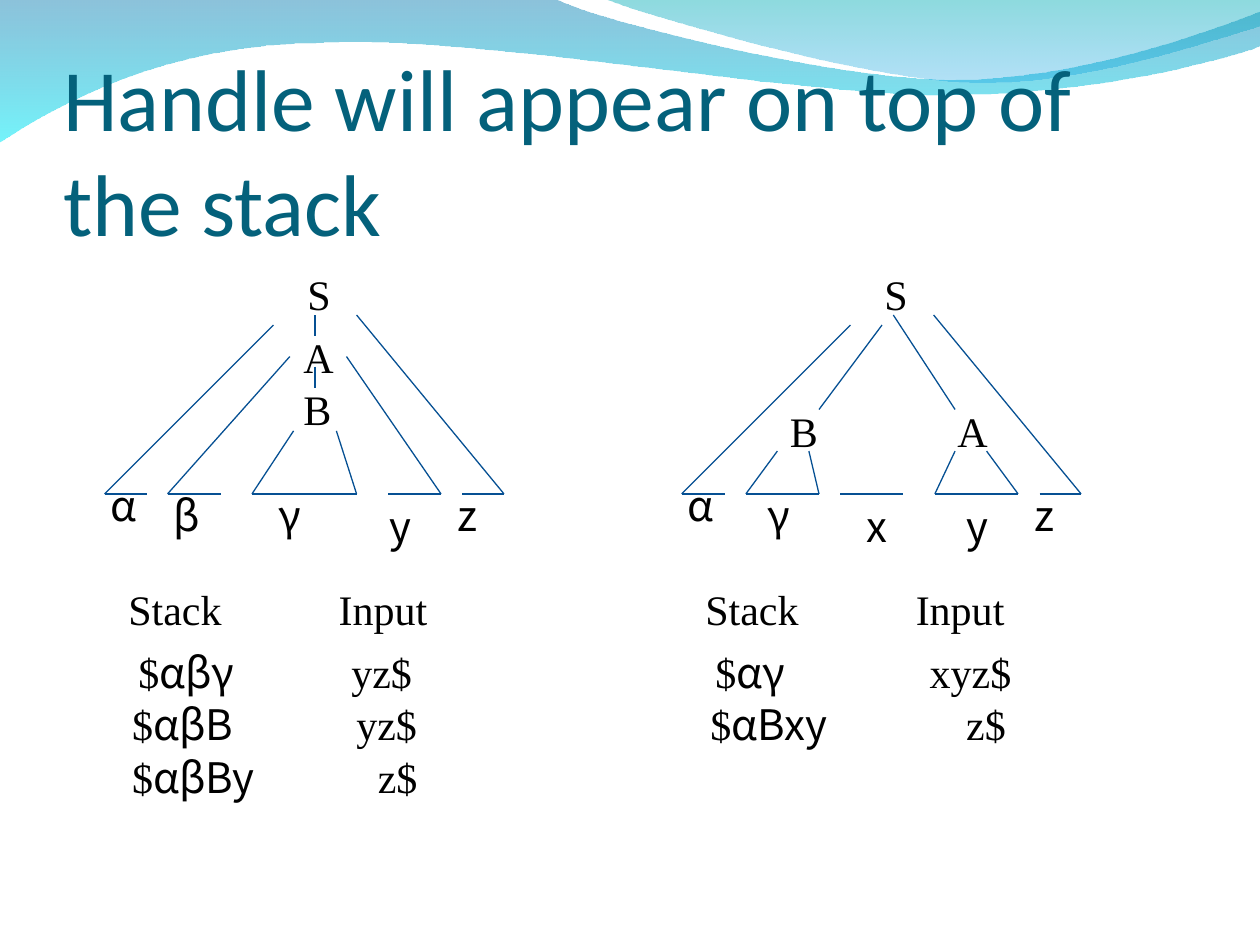
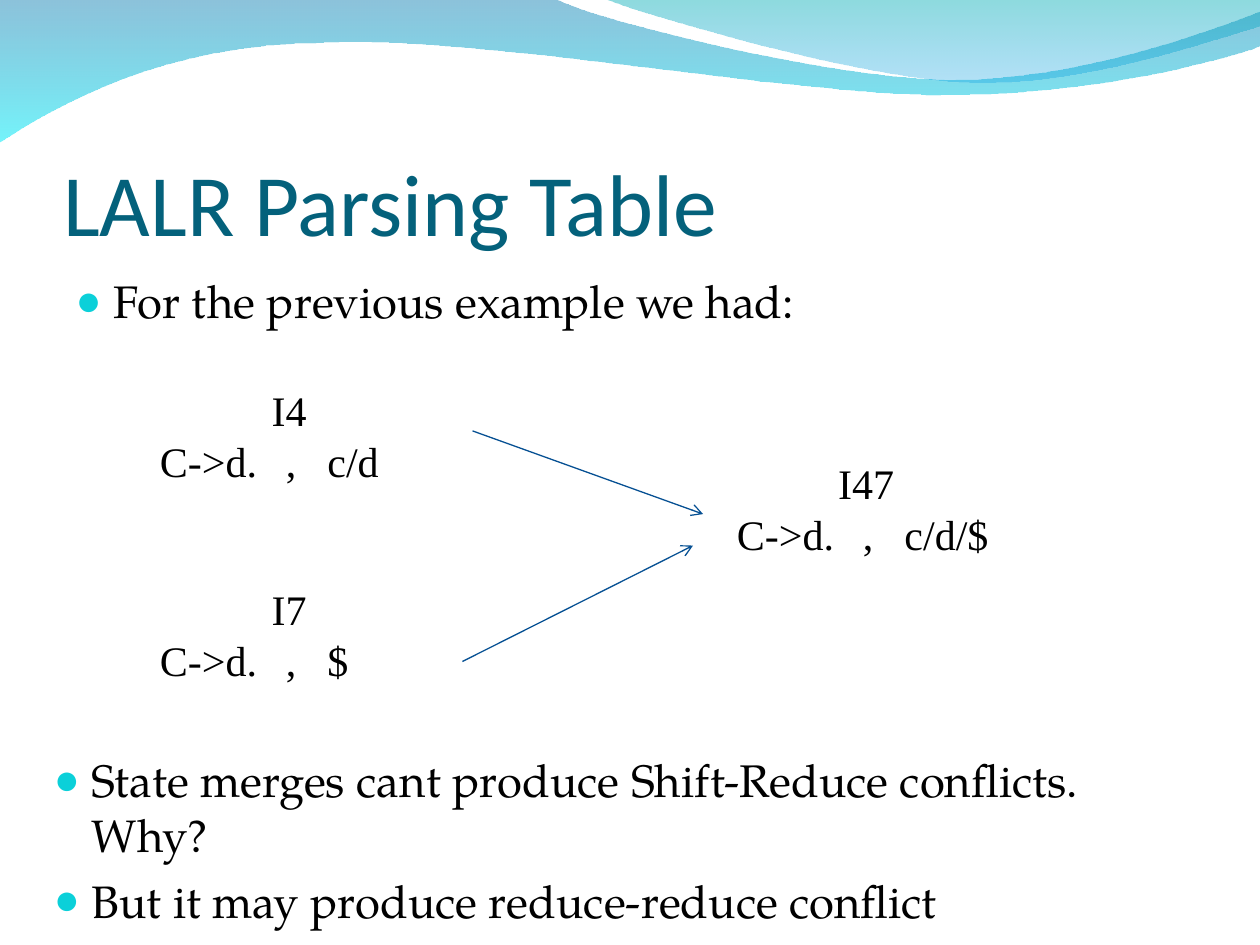
from dataclasses import dataclass

from lxml import etree
from pptx import Presentation
from pptx import util as u
from pptx.dml.color import RGBColor
from pptx.enum import shapes, text
from pptx.oxml.ns import qn


@dataclass(frozen=True)
class Theme:
    title_color: str = "04617B"
    ink: str = "000000"
    line: str = "065093"
    bullet: str = "0BD0D9"
    title_font: str = "Calibri"
    list_font: str = "TeX Gyre Pagella"
    bullet_font: str = "Arial"
    serif: str = "Times New Roman"
    sans: str = "Noto Sans CJK JP"
    title_size: float = 50
    list_size: float = 26
    label_size: float = 24
    label_spacing: float = 29
    list_gap: float = 6.5
    line_width: float = 0.75


THEME = Theme()

# Wave outlines: a start point, then lines (2 numbers) and curves (6 numbers)
BACK_WAVE = [
    (0, -0.01), (4.4, -0.01),
    (4.76, 0.17, 6.64, 0.63, 7.58, 0.63), (8.53, 0.63, 9.58, 0.26, 10, 0.09),
    (10.01, 0.36),
    (9.83, 0.44, 8.7, 0.76, 7.46, 0.75), (6.22, 0.75, 3.82, 0.28, 2.57, 0.34),
    (1.29, 0.35, 0.46, 0.83, -0.01, 1.13),
]
FRONT_WAVE = [
    (4.79, -0.01),
    (5.09, 0.11, 6.82, 0.62, 7.69, 0.65), (8.56, 0.69, 9.61, 0.32, 10, 0.21),
    (10, 0),
]

# Parse trees, in inches from the left edge of each tree
TREE_STEP = 4.58
LEAF_Y = 3.92
ROW_TOP, ROW_STEP = 5.08, 0.415
LETTER_WIDTHS = {"S": 0.38, "A": 0.44, "B": 0.42}
LEAF_WIDTH = 0.4


@dataclass
class ParseTree:
    branches: list
    leaf_bases: list
    nodes: list
    leaves: list
    rows: list  # stack symbols, stack x, input, input x, input width


COMMON = ParseTree(
    branches=[(2.17, 2.58, 0.83, LEAF_Y), (2.83, 2.5, 4, LEAF_Y)],
    leaf_bases=[(0.83, 1.17), (3.67, 4)],
    nodes=[("S", 2.34, 2.08)],
    leaves=[("α", 0.78, 3.75), ("y", 2.99, 3.92), ("z", 3.53, 3.83)],
    rows=[],
)
TREES = [
    ParseTree(
        branches=[
            (2.3, 2.83, 1.33, LEAF_Y), (2.75, 2.83, 3.5, LEAF_Y),
            (2.33, 3.42, 2, LEAF_Y), (2.67, 3.42, 2.83, LEAF_Y),
            (2.5, 2.5, 2.5, 2.67), (2.5, 2.91, 2.5, 3.08),
        ],
        leaf_bases=[(1.33, 1.75), (2, 2.83), (3.08, 3.5)],
        nodes=[("A", 2.31, 2.58), ("B", 2.31, 2.99)],
        leaves=[("β", 1.28, 3.83), ("γ", 2.11, 3.83)],
        rows=[
            ("αβγ", 1, "yz$", 2.69, 0.7),
            ("αβB", 0.95, "yz$", 2.73, 0.7),
            ("αβBy", 0.95, "z$", 2.9, 0.54),
        ],
    ),
    ParseTree(
        branches=[
            (2.51, 2.5, 3, 3.25), (2.42, 2.58, 1.92, 3.25),
            (1.59, 3.58, 1.34, LEAF_Y), (1.84, 3.58, 1.92, LEAF_Y),
            (3, 3.58, 2.84, LEAF_Y), (3.25, 3.58, 3.5, LEAF_Y),
        ],
        leaf_bases=[(1.34, 1.92), (2.09, 2.59), (2.84, 3.5)],
        nodes=[("A", 2.92, 3.17), ("B", 1.59, 3.17)],
        leaves=[("γ", 1.41, 3.83), ("x", 2.2, 3.92)],
        rows=[
            ("αγ", 1, "xyz$", 2.7, 0.87),
            ("αBxy", 0.96, "z$", 2.99, 0.54),
        ],
    ),
]


def add_xml(parent, tag, **attributes):
    return etree.SubElement(parent, qn(tag), attributes)


def add_run(paragraph, words, font, size, color=THEME.ink):
    run = paragraph.add_run()
    run.text = words
    run.font.name = font
    run.font.size = u.Pt(size)
    run.font.color.rgb = RGBColor.from_string(color)


def place(shape, left, top, width, height):
    shape.left, shape.top = u.Inches(left), u.Inches(top)
    shape.width, shape.height = u.Inches(width), u.Inches(height)


def add_box(slide, left, top, width, height=0.5, wrap=False):
    box = slide.shapes.add_textbox(*map(u.Inches, (left, top, width, height)))
    frame = box.text_frame
    frame.word_wrap = wrap
    frame.auto_size = text.MSO_AUTO_SIZE.SHAPE_TO_FIT_TEXT
    return frame


def add_label(slide, left, top, width, *runs, wrap=False):
    """One line of text; each run is a pair of words and font."""
    line = add_box(slide, left, top, width, wrap=wrap).paragraphs[0]
    line.line_spacing = u.Pt(THEME.label_spacing)
    for words, font in runs:
        add_run(line, words, font, THEME.label_size)


def add_line(slide, x1, y1, x2, y2, arrow=False):
    line = slide.shapes.add_connector(
        shapes.MSO_CONNECTOR.STRAIGHT, *map(u.Inches, (x1, y1, x2, y2)))
    line.line.color.rgb = RGBColor.from_string(THEME.line)
    line.line.width = u.Pt(THEME.line_width)
    properties = line.element.spPr
    if arrow:
        add_xml(properties.find(qn("a:ln")), "a:tailEnd", type="arrow")
    add_xml(properties, "a:effectLst")


def set_title(slide, words):
    title = slide.shapes.title
    place(title, 0.5, 0.77, 9, 1.25)
    frame = title.text_frame
    frame.auto_size = text.MSO_AUTO_SIZE.NONE
    frame.vertical_anchor = text.MSO_ANCHOR.BOTTOM
    frame.margin_left = frame.margin_right = frame.margin_bottom = 0
    frame.margin_top = u.Inches(0.05)
    paragraph = frame.paragraphs[0]
    paragraph.alignment = text.PP_ALIGN.LEFT
    add_run(paragraph, words, THEME.title_font, THEME.title_size, THEME.title_color)


def fill_list(frame, items):
    frame.auto_size = text.MSO_AUTO_SIZE.NONE
    for index, item in enumerate(items):
        paragraph = frame.add_paragraph() if index else frame.paragraphs[0]
        paragraph.space_before = u.Pt(THEME.list_gap)
        layout = paragraph._p.get_or_add_pPr()
        layout.set("marL", str(u.Inches(0.3)))
        layout.set("indent", str(-u.Inches(0.3)))
        add_xml(add_xml(layout, "a:buClr"), "a:srgbClr", val=THEME.bullet)
        add_xml(layout, "a:buSzPct", val="95000")
        add_xml(layout, "a:buFont", typeface=THEME.bullet_font)
        add_xml(layout, "a:buChar", char="●")
        add_run(paragraph, item, THEME.list_font, THEME.list_size)


def bend(wave, outline):
    """Turn each three lines that stand for a curve into one Bézier curve."""
    lines = iter(list(wave.element.iter(qn("a:lnTo"))))
    for segment in outline[1:]:
        first = next(lines)
        if len(segment) == 6:
            first.tag_points = None
            curve = etree.Element(qn("a:cubicBezTo"))
            first.addprevious(curve)
            for line in (first, next(lines), next(lines)):
                curve.append(line[0])
                line.getparent().remove(line)


def add_wave(master, slide, outline, stops, depth):
    """Draw a wave and move it to the master, behind everything else."""
    points = [segment[i:i + 2] for segment in outline
              for i in range(0, len(segment), 2)]
    start, *others = [tuple(map(u.Inches, point)) for point in points]
    builder = slide.shapes.build_freeform(*start)
    builder.add_line_segments(others)
    wave = builder.convert_to_shape()
    bend(wave, outline)
    wave.shadow.inherit = False
    wave.line.fill.background()
    wave.fill.gradient()
    wave.fill.gradient_angle = 270
    for stop, (color, opacity) in zip(wave.fill.gradient_stops, stops):
        stop.color.rgb = RGBColor.from_string(color)
        tint = stop._gs.find(qn("a:srgbClr"))
        add_xml(tint, "a:alpha", val=str(opacity * 1000))
    master.shapes.element.insert(2 + depth, wave.element)


def draw_tree(slide, tree, left):
    for x1, y1, x2, y2 in COMMON.branches + tree.branches:
        add_line(slide, left + x1, y1, left + x2, y2)
    for start, end in COMMON.leaf_bases + tree.leaf_bases:
        add_line(slide, left + start, LEAF_Y, left + end, LEAF_Y)
    for letter, x, y in COMMON.nodes + tree.nodes:
        add_label(slide, left + x, y, LETTER_WIDTHS[letter], (letter, THEME.serif))
    for letter, x, y in COMMON.leaves + tree.leaves:
        add_label(slide, left + x, y, LEAF_WIDTH, (letter, THEME.sans))


def draw_stack_rows(slide, tree, left):
    add_label(slide, left + 0.92, 4.58, 0.96, ("Stack", THEME.serif))
    add_label(slide, left + 2.59, 4.58, 0.93, ("Input", THEME.serif))
    for index, (symbols, stack_x, rest, input_x, width) in enumerate(tree.rows):
        top = ROW_TOP + index * ROW_STEP
        add_label(slide, left + stack_x, top, 1.38,
                  ("$", THEME.serif), (symbols, THEME.sans), wrap=True)
        add_label(slide, left + input_x, top, width, (rest, THEME.serif))


def add_state(slide, left, top, name, lookahead):
    frame = add_box(slide, left, top, 2.25, 1.3, wrap=True)
    heading, item = frame.paragraphs[0], frame.add_paragraph()
    heading.alignment = text.PP_ALIGN.CENTER
    for paragraph, words in ((heading, name), (item, f"C->d.\t,\t{lookahead}")):
        paragraph.line_spacing = u.Pt(THEME.label_spacing)
        add_run(paragraph, words, THEME.serif, THEME.label_size)
    tabs = add_xml(item._p.get_or_add_pPr(), "a:tabLst")
    for position in (1, 1.33):
        add_xml(tabs, "a:tab", pos=str(u.Inches(position)), algn="l")


def build_handle_slide(slide):
    set_title(slide, "Handle will appear on top of the stack")
    for index, tree in enumerate(TREES):
        draw_tree(slide, tree, index * TREE_STEP)
        draw_stack_rows(slide, tree, index * TREE_STEP)


def build_lalr_slide(slide):
    set_title(slide, "LALR Parsing Table")
    intro = slide.placeholders[1]
    place(intro, 0.5, 2.12, 9, 1.22)
    fill_list(intro.text_frame, ["For the previous example we had:"])

    # Two states merging into one
    add_state(slide, 1.17, 3, "I4", "c/d")
    add_state(slide, 1.17, 4.58, "I7", "$")
    add_line(slide, 3.75, 3.42, 5.58, 4.08, arrow=True)
    add_line(slide, 3.67, 5.25, 5.5, 4.33, arrow=True)
    add_state(slide, 5.75, 3.58, "I47", "c/d/$")

    # Conclusions
    fill_list(add_box(slide, 0.33, 5.92, 9, 1.22, wrap=True), [
        "State merges cant produce Shift-Reduce conflicts. Why?",
        "But it may produce reduce-reduce conflict",
    ])


def main():
    deck = Presentation()
    deck.slide_width, deck.slide_height = u.Inches(10), u.Inches(7.5)
    title_only, title_and_list = deck.slide_layouts[5], deck.slide_layouts[1]
    handle = deck.slides.add_slide(title_only)

    # Shared waves
    master = deck.slide_master
    add_wave(master, handle, BACK_WAVE, [("0079AF", 45), ("00EBF8", 55)], 0)
    add_wave(master, handle, FRONT_WAVE, [("00ADB6", 45), ("009BE5", 30)], 1)

    build_handle_slide(handle)
    build_lalr_slide(deck.slides.add_slide(title_and_list))
    deck.save("out.pptx")


if __name__ == "__main__":
    main()
